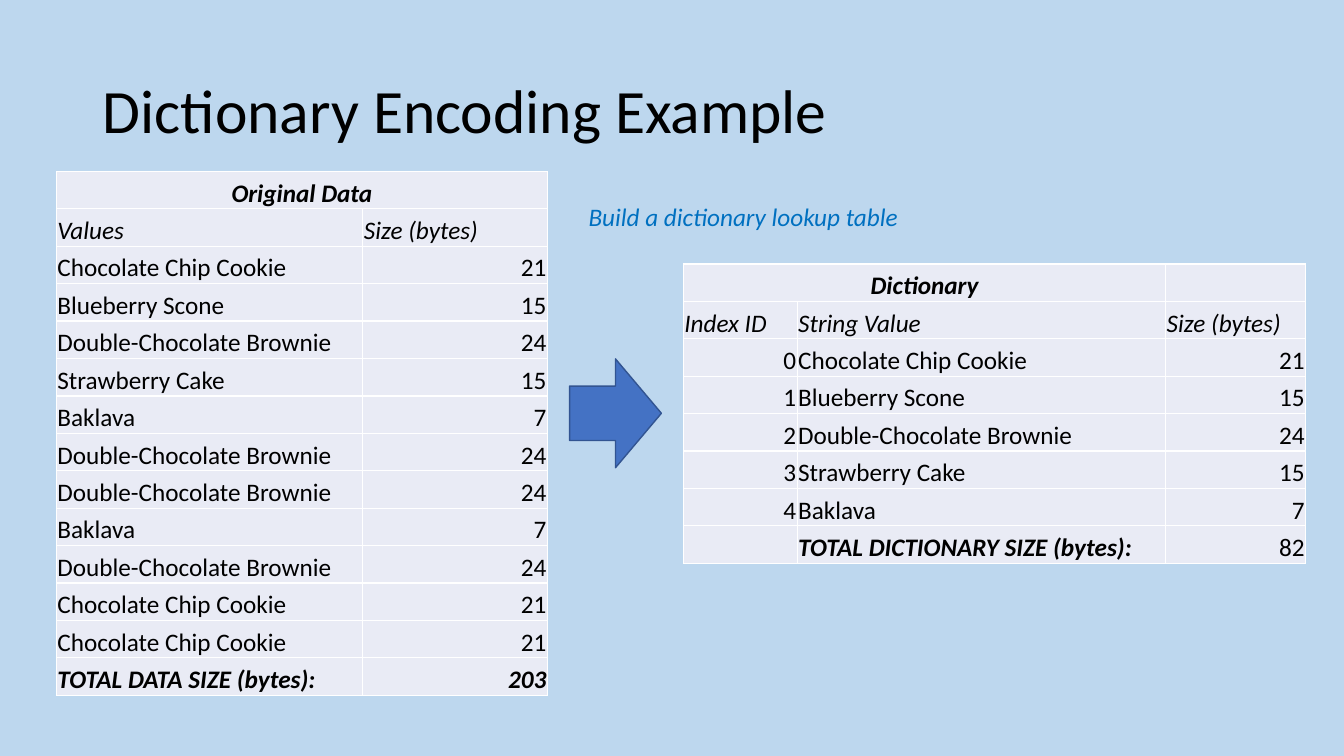
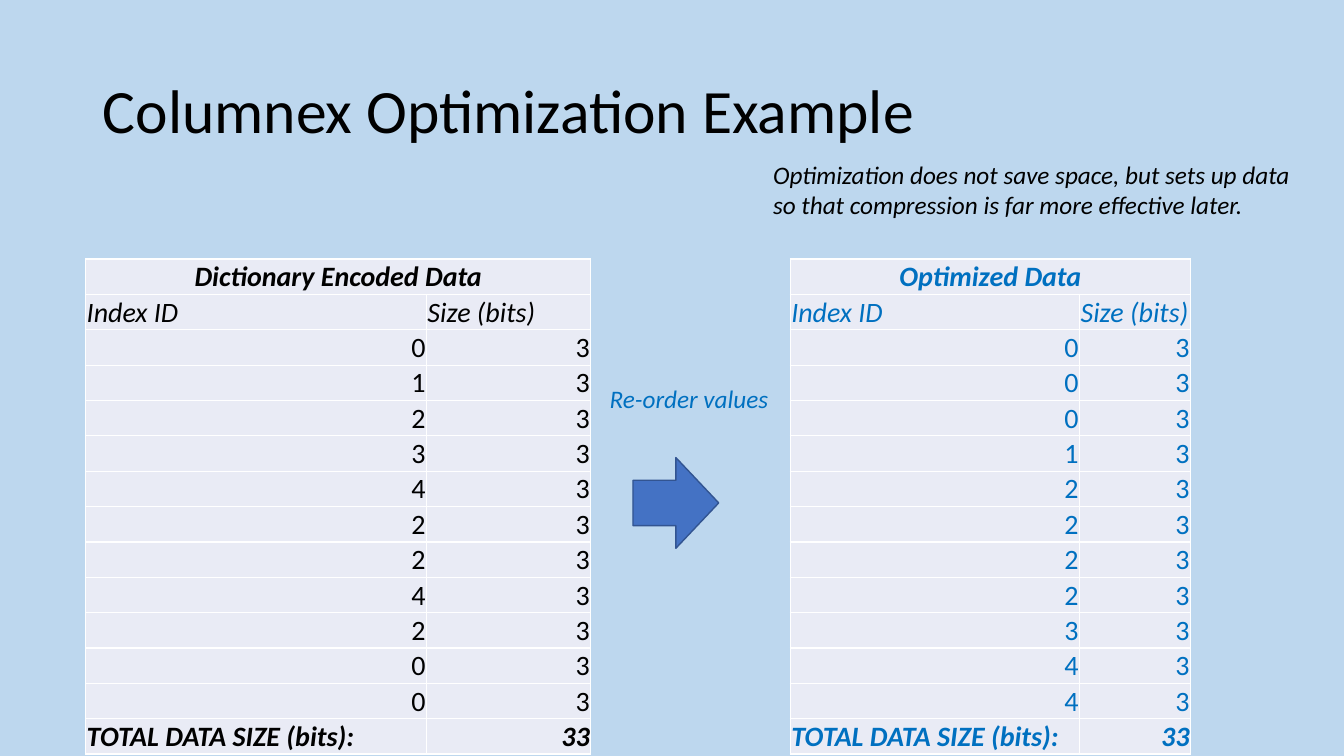
from lxml import etree
from pptx import Presentation, util as u
from pptx.dml.color import RGBColor
from pptx.enum import shapes, text as t
from pptx.oxml import ns

WIDE, HIGH = u.Inches(13.33), u.Inches(7.5)
FONT = "Calibri"
HUES = {"back": "BDD7EE", "cell": "E9EBF5", "rule": "FFFFFF", "ink": "000000",
        "blue": "0070C0", "arrow": "4472C4", "edge": "325491"}
SIDES = {"l": t.PP_ALIGN.LEFT, "c": t.PP_ALIGN.CENTER, "r": t.PP_ALIGN.RIGHT}
ITEMS = [("Chocolate Chip Cookie", 21), ("Blueberry Scone", 15),
         ("Double-Chocolate Brownie", 24), ("Strawberry Cake", 15), ("Baklava", 7)]
CODES = [0, 1, 2, 3, 4, 2, 2, 4, 2, 0, 0]
BITS = 3


def hue(name):
    """Return the named colour."""
    return RGBColor.from_string(HUES[name])


def place(box):
    """Turn percentages of the slide into lengths."""
    x, y, w, h = box
    return [int(n * full / 100) for n, full in ((x, WIDE), (y, HIGH), (w, WIDE), (h, HIGH))]


def write(frame, words, size=18, color="ink", bold=False, slant=False, side="l", gap=None):
    """Fill a text frame, one paragraph for each line."""
    for i, line in enumerate(words.split("\n")):
        para = frame.add_paragraph() if i else frame.paragraphs[0]
        para.alignment = SIDES[side]
        if gap:
            para.line_spacing = gap
        para.font.size = u.Pt(size)
        if line:
            run = para.add_run()
            run.text = line
            font = run.font
            font.name, font.size, font.bold, font.italic = FONT, u.Pt(size), bold, slant
            font.color.rgb = hue(color)


def head(slide, words):
    """Place and write the slide title."""
    title = slide.shapes.title
    title.left, title.top, title.width, title.height = place((6.9, 5.33, 86.25, 19.33))
    title.text_frame.vertical_anchor = t.MSO_ANCHOR.MIDDLE
    write(title.text_frame, words, size=44, gap=0.9)


def note(slide, box, words, color="blue"):
    """Add an italic remark."""
    frame = slide.shapes.add_textbox(*place(box)).text_frame
    frame.word_wrap = False
    frame.auto_size = t.MSO_AUTO_SIZE.SHAPE_TO_FIT_TEXT
    write(frame, words, color=color, slant=True)


def arrow(slide, box):
    """Add a block arrow pointing right."""
    shape = slide.shapes.add_shape(shapes.MSO_SHAPE.RIGHT_ARROW, *place(box))
    shape.shadow.inherit = False
    shape.fill.solid()
    shape.fill.fore_color.rgb = hue("arrow")
    shape.line.color.rgb = hue("edge")
    shape.line.width = u.Pt(1)


def paint(cell):
    """Give a cell its borders, fill and margins."""
    props = cell._tc.get_or_add_tcPr()
    for edge in ("lnL", "lnR", "lnT", "lnB"):
        line = etree.SubElement(props, ns.qn(f"a:{edge}"), w=str(u.Pt(1)))
        fill = etree.SubElement(line, ns.qn("a:solidFill"))
        etree.SubElement(fill, ns.qn("a:srgbClr"), val=HUES["rule"])
    cell.fill.solid()
    cell.fill.fore_color.rgb = hue("cell")
    cell.margin_left = cell.margin_right = cell.margin_top = u.Inches(0.01)
    cell.margin_bottom = 0
    cell.vertical_anchor = t.MSO_ANCHOR.BOTTOM


def grid(slide, box, cols, rows, size=18, color="ink", strong=True):
    """Add a table with a merged heading, a label row, data and a total row."""
    x, y, w, h = place(box)
    table = slide.shapes.add_table(len(rows), len(cols), x, y, w, h).table
    table.first_row = table.horz_banding = False
    for col, share in zip(table.columns, cols):
        col.width = int(w * share / sum(cols))
    for row in table.rows:
        row.height = h // len(rows)
    table.cell(0, 0).merge(table.cell(0, 1))
    last = len(rows) - 1
    for r, row in enumerate(rows):
        for c, value in enumerate(row):
            cell = table.cell(r, c)
            paint(cell)
            number = isinstance(value, int)
            total = r == last and (strong or not number)
            write(cell.text_frame, str(value), size, color, bold=r == 0 or total,
                  slant=r < 2 or total, side="r" if number else "c" if r == 0 else "l")


def lookup(slide):
    """Show the raw data beside its dictionary."""
    head(slide, "Dictionary Encoding Example")
    data = [ITEMS[code] for code in CODES]
    grid(slide, (4.2, 22.67, 36.53, 69.33), (3.04, 1.83),
         [("Original Data", ""), ("Values", "Size (bytes)"), *data,
          ("TOTAL DATA SIZE (bytes):", sum(n for _, n in data))])
    grid(slide, (50.85, 34.93, 46.3, 39.6), (1.13, 3.66, 1.39),
         [("Dictionary", "", ""), ("Index ID", "String Value", "Size (bytes)"),
          *((i, *item) for i, item in enumerate(ITEMS)),
          ("", "TOTAL DICTIONARY SIZE (bytes):", sum(n for _, n in ITEMS))], strong=False)
    arrow(slide, (42.38, 47.47, 6.83, 14.4))
    note(slide, (43.05, 26, 24.9, 5.33), "Build a dictionary lookup table")


def reorder(slide):
    """Show the encoded data beside its sorted form."""
    head(slide, "Columnex Optimization Example")
    for name, codes, x, w, cols, color in (
            ("Dictionary Encoded Data", CODES, 6.38, 37.58, (3.38, 1.63), "ink"),
            ("Optimized Data", sorted(CODES), 58.8, 29.78, (2.87, 1.1), "blue")):
        grid(slide, (x, 34.27, w, 65.5), cols,
             [(name, ""), ("Index ID", "Size (bits)"), *((code, BITS) for code in codes),
              ("TOTAL DATA SIZE (bits):", BITS * len(codes))], size=20, color=color)
    arrow(slide, (47.1, 60.53, 6.38, 12))
    note(slide, (56.78, 20.4, 40.58, 9.47),
         "Optimization does not save space, but sets up data\n"
         "so that compression is far more effective later.", color="ink")
    note(slide, (44.63, 50, 13.58, 5.33), "Re-order values")


def main():
    """Build and save the deck."""
    deck = Presentation()
    deck.slide_width, deck.slide_height = WIDE, HIGH
    back = deck.slide_master.background.fill
    back.solid()
    back.fore_color.rgb = hue("back")
    for build in (lookup, reorder):
        build(deck.slides.add_slide(deck.slide_layouts[5]))
    deck.save("out.pptx")


if __name__ == "__main__":
    main()
